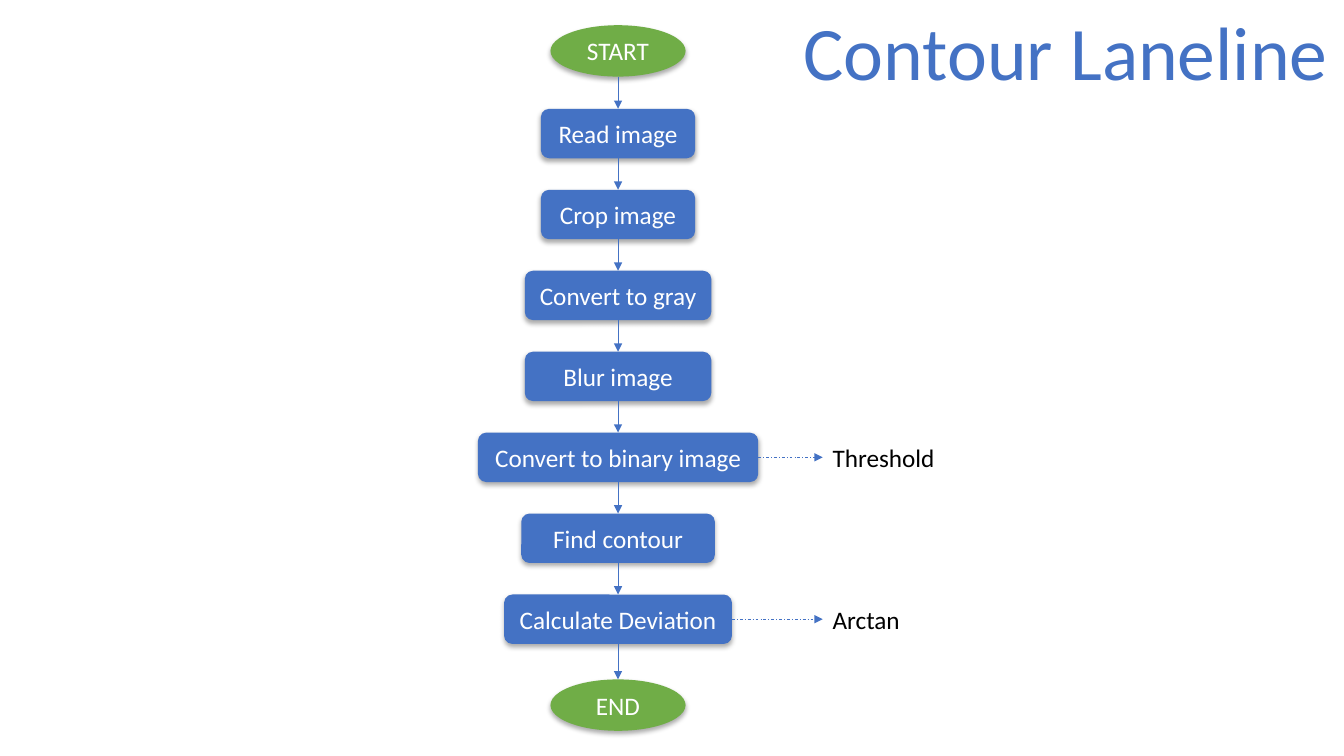
from lxml import etree
from pptx import Presentation
from pptx.dml.color import RGBColor
from pptx.enum.dml import MSO_LINE
from pptx.enum.shapes import MSO_CONNECTOR, MSO_SHAPE
from pptx.enum.text import MSO_ANCHOR, MSO_AUTO_SIZE, PP_ALIGN
from pptx.oxml.ns import qn
from pptx.util import Inches, Pt

STRAIGHT = MSO_CONNECTOR.STRAIGHT
DASH_DOT = MSO_LINE.DASH_DOT
OVAL, ROUNDED = MSO_SHAPE.OVAL, MSO_SHAPE.ROUNDED_RECTANGLE
MIDDLE, TOP = MSO_ANCHOR.MIDDLE, MSO_ANCHOR.TOP
FIXED = MSO_AUTO_SIZE.NONE
CENTER, LEFT = PP_ALIGN.CENTER, PP_ALIGN.LEFT

BLUE, GREEN, WHITE, BLACK = "4472C4", "70AD47", "FFFFFF", "000000"
TITLE_ONLY = 5
AXIS = 6.13
NOTE_LEFT = 8.16
OVAL_WIDTH, OVAL_HEIGHT = 1.34, 0.51
STEP_TOP, STEP_PITCH, STEP_HEIGHT = 1.08, 0.803, 0.49
STEPS = [
    ("Read image", 1.53, None),
    ("Crop image", 1.53, None),
    ("Convert to gray", 1.85, None),
    ("Blur image", 1.85, None),
    ("Convert to binary image", 2.78, "Threshold"),
    ("Find contour", 1.92, None),
    ("Calculate Deviation", 2.26, "Arctan"),
]


def color(value):
    return RGBColor.from_string(value)


def write_text(shape, text, size, text_color, alignment, **frame_format):
    frame = shape.text_frame
    frame.text = text
    for name, value in frame_format.items():
        setattr(frame, name, value)
    paragraph = frame.paragraphs[0]
    paragraph.alignment = alignment
    font = paragraph.runs[0].font
    for name, value in {"name": "Calibri", "size": Pt(size)}.items():
        setattr(font, name, value)
    font.color.rgb = color(text_color)


def add_shadow(shape):
    shape.shadow.inherit = False
    effects = shape._element.spPr.find(qn("a:effectLst"))
    shadow = etree.SubElement(
        effects, qn("a:outerShdw"), blurRad=str(Pt(3.5)), dist=str(Pt(2.2)),
        dir="5400000", algn="ctr", rotWithShape="0")
    shade = etree.SubElement(shadow, qn("a:srgbClr"), val=BLACK)
    etree.SubElement(shade, qn("a:alpha"), val="32000")


def add_node(slide, kind, text, top, width, height, fill_color):
    shape = slide.shapes.add_shape(
        kind, Inches(AXIS - width / 2), Inches(top), Inches(width), Inches(height))
    shape.fill.solid()
    shape.fill.fore_color.rgb = color(fill_color)
    shape.line.fill.background()
    add_shadow(shape)
    write_text(shape, text, 18, WHITE, CENTER, vertical_anchor=MIDDLE)
    return shape


def add_arrow(slide, start_x, start_y, end_x, end_y, dash=None):
    connector = slide.shapes.add_connector(STRAIGHT, start_x, start_y, end_x, end_y)
    connector.line.color.rgb = color(BLUE)
    connector.line.width = Pt(0.5)
    connector.line.dash_style = dash
    properties = connector._element.spPr
    etree.SubElement(properties.find(qn("a:ln")), qn("a:tailEnd"), type="triangle")
    etree.SubElement(properties, qn("a:effectLst"))


def add_note(slide, step, text):
    middle = step.top + step.height // 2
    add_arrow(slide, step.left + step.width, middle, Inches(NOTE_LEFT), middle, DASH_DOT)
    box = slide.shapes.add_textbox(
        Inches(NOTE_LEFT), middle - Inches(0.2), Inches(1.4), Inches(0.4))
    write_text(box, text, 18, BLACK, LEFT, word_wrap=True)


def place_title(slide, text):
    title = slide.shapes.title
    position = {"left": 7.84, "top": 0, "width": 5.46, "height": 1.01}
    for name, value in position.items():
        setattr(title, name, Inches(value))
    write_text(title, text, 54, BLUE, CENTER,
               word_wrap=False, auto_size=FIXED, vertical_anchor=TOP)


def main():
    presentation = Presentation()
    presentation.slide_width = Inches(13.33)
    presentation.slide_height = Inches(7.5)
    slide = presentation.slides.add_slide(presentation.slide_layouts[TITLE_ONLY])
    place_title(slide, "Contour Laneline")

    nodes = [add_node(slide, OVAL, "START", 0.25, OVAL_WIDTH, OVAL_HEIGHT, GREEN)]
    for index, (text, width, note) in enumerate(STEPS):
        top = STEP_TOP + index * STEP_PITCH
        step = add_node(slide, ROUNDED, text, top, width, STEP_HEIGHT, BLUE)
        nodes.append(step)
        if note:
            add_note(slide, step, note)
    nodes.append(add_node(slide, OVAL, "END", 6.74, OVAL_WIDTH, OVAL_HEIGHT, GREEN))

    for upper, lower in zip(nodes, nodes[1:]):
        add_arrow(slide, Inches(AXIS), upper.top + upper.height, Inches(AXIS), lower.top)

    presentation.save("out.pptx")


main()
